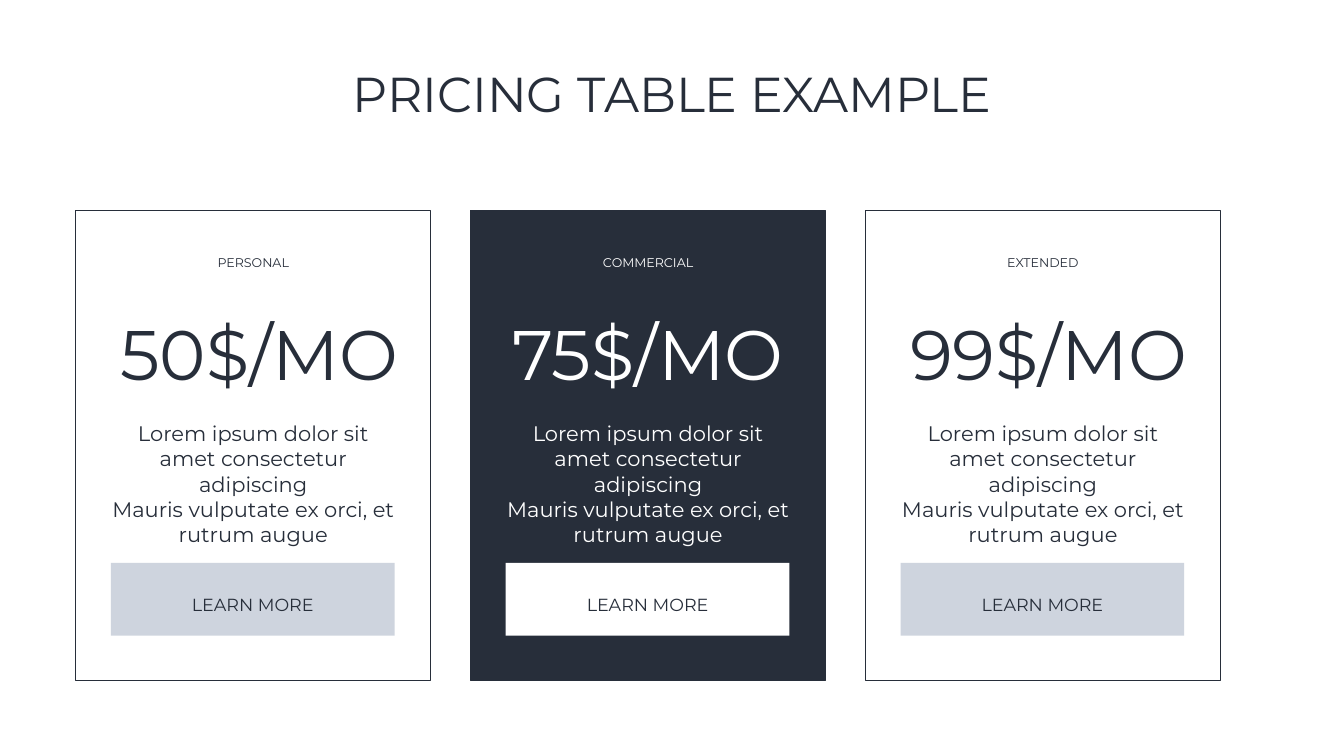
from pptx import Presentation
from pptx.dml.color import RGBColor
from pptx.enum.shapes import MSO_SHAPE
from pptx.enum.text import MSO_ANCHOR, MSO_AUTO_SIZE, PP_ALIGN
from pptx.util import Inches, Pt

COLORS = {"dark": "272E3A", "white": "FFFFFF", "button": "CED4DE"}
FONT = "Montserrat"
FEATURES = [
    "Lorem ipsum dolor sit amet consectetur adipiscing",
    "Mauris vulputate ex orci, et rutrum augue",
]
PLANS = [
    ("PERSONAL", "50$/MO", 0.55, False),
    ("COMMERCIAL", "75$/MO", 0.43, True),
    ("EXTENDED", "99$/MO", 0.55, False),
]
CARD_LEFT, CARD_TOP, CARD_WIDTH, CARD_HEIGHT = 1.5, 4.17, 7.04, 9.33
CARD_PITCH = 7.835


def color(name):
    """Return the palette colour with the given name."""
    return RGBColor.from_string(COLORS[name])


def write(box, lines, size, ink, spacing=None):
    """Fill a text shape with centred paragraphs."""
    frame = box.text_frame
    frame.word_wrap = True
    frame.auto_size = MSO_AUTO_SIZE.SHAPE_TO_FIT_TEXT
    frame.vertical_anchor = MSO_ANCHOR.TOP
    for index, line in enumerate(lines):
        paragraph = frame.add_paragraph() if index else frame.paragraphs[0]
        paragraph.alignment = PP_ALIGN.CENTER
        paragraph.space_before = Pt(0)
        if spacing:
            paragraph.line_spacing = spacing
        run = paragraph.add_run()
        run.text = line
        run.font.size = Pt(size)
        run.font.name = FONT
        run.font.color.rgb = color(ink)


def add_text(shapes, left, top, width, height, lines, size, ink, spacing=None):
    """Add a text box and write its lines."""
    box = shapes.add_textbox(Inches(left), Inches(top), Inches(width), Inches(height))
    write(box, lines, size, ink, spacing)


def add_panel(shapes, left, top, width, height, fill=None, line=None):
    """Add a rectangle with an optional fill and outline."""
    panel = shapes.add_shape(
        MSO_SHAPE.RECTANGLE, Inches(left), Inches(top), Inches(width), Inches(height)
    )
    panel.shadow.inherit = False
    if fill:
        panel.fill.solid()
        panel.fill.fore_color.rgb = color(fill)
    else:
        panel.fill.background()
    if line:
        panel.line.color.rgb = color(line)
        panel.line.width = Pt(1)
    else:
        panel.line.fill.background()


def add_title(slide, left, top, width, height):
    """Place and format the slide title."""
    title = slide.shapes.title
    title.left, title.top = Inches(left), Inches(top)
    title.width, title.height = Inches(width), Inches(height)
    write(title, ["PRICING TABLE EXAMPLE"], 70, "dark", 0.8)


def add_button(slide, left, top, width, height, fill):
    """Group a button panel with its caption."""
    shapes = slide.shapes.add_group_shape().shapes
    add_panel(shapes, left, top, width, height, fill)
    add_text(shapes, left + 0.49, top + 0.15, width - 0.98, 0.82,
             ["LEARN MORE"], 25, "dark", 2.0)


def add_card(slide, left, top, width, height, plan):
    """Build one pricing card inside the given box."""
    name, price, price_inset, featured = plan
    ink = "white" if featured else "dark"
    shapes = slide.shapes
    add_panel(shapes, left, top, width, height, "dark" if featured else None, "dark")
    add_text(shapes, left + 0.82, top + 0.84, 5.41, 0.4, [name], 18, ink)
    add_text(shapes, left + price_inset, top + 2.26, 6.18, 1.47, [price], 100, ink, 0.8)
    add_text(shapes, left + 0.57, top + 4.13, 5.91, 2.63, FEATURES, 30, ink)
    add_button(slide, left + 0.7, top + 7, 5.63, 1.44, "white" if featured else "button")


def main():
    """Create the pricing slide and save it."""
    presentation = Presentation()
    presentation.slide_width = Inches(26.67)
    presentation.slide_height = Inches(15)
    slide = presentation.slides.add_slide(presentation.slide_layouts[5])
    slide.background.fill.solid()
    slide.background.fill.fore_color.rgb = color("white")
    add_title(slide, 5.25, 1.44, 16.17, 1.06)
    for index, plan in enumerate(PLANS):
        add_card(slide, CARD_LEFT + index * CARD_PITCH, CARD_TOP,
                 CARD_WIDTH, CARD_HEIGHT, plan)
    presentation.save("out.pptx")


if __name__ == "__main__":
    main()
